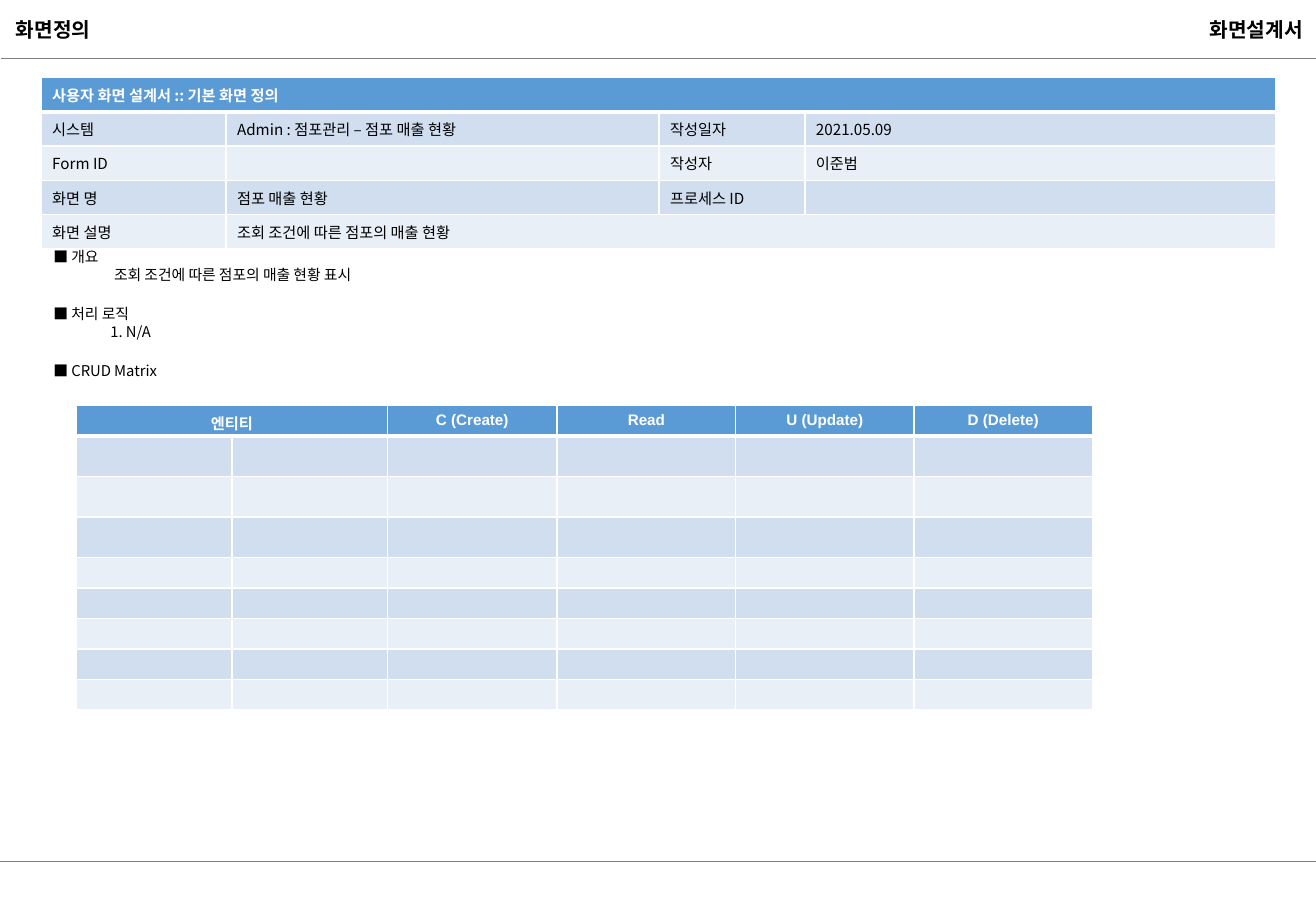
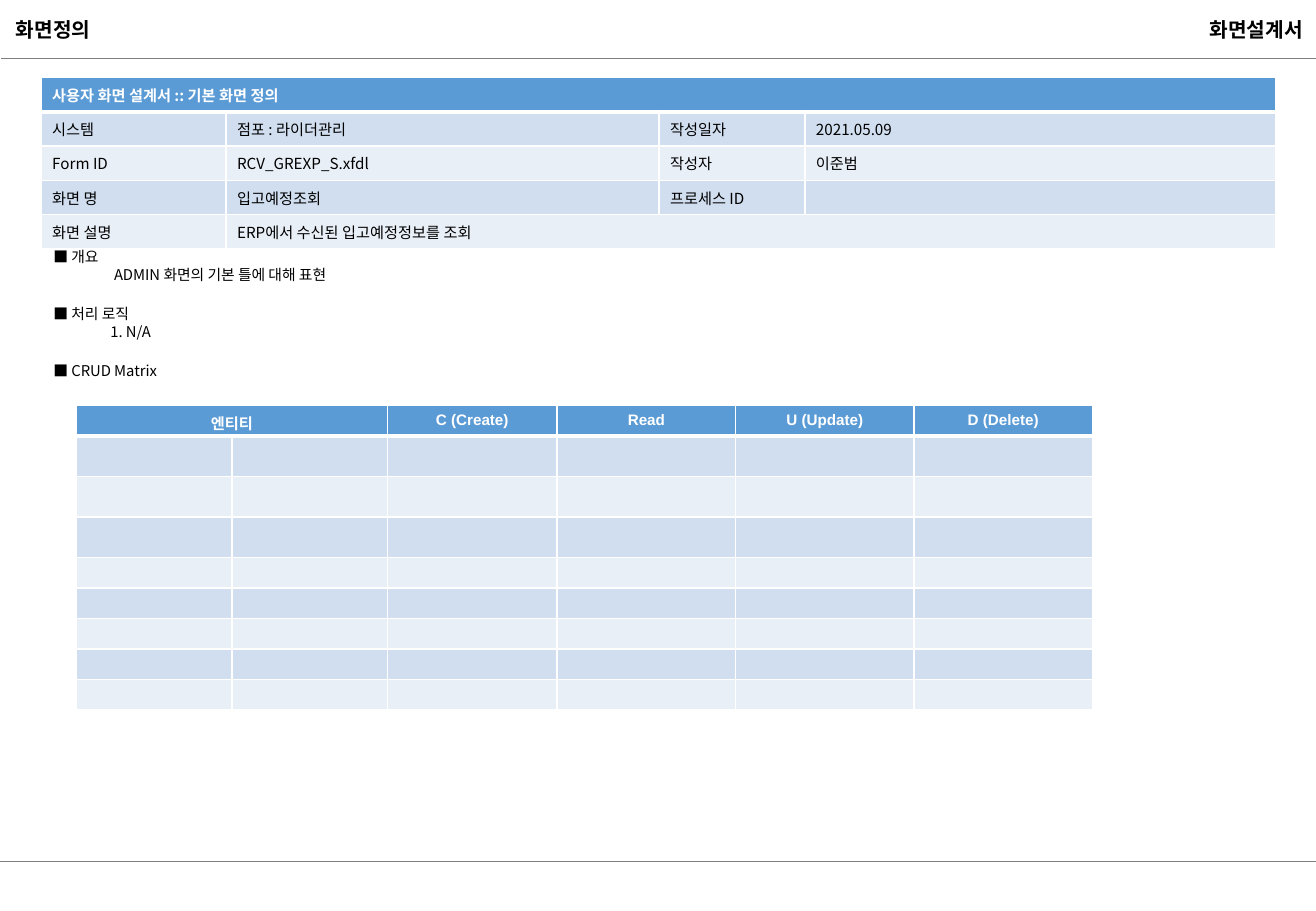
from dataclasses import dataclass
from typing import Optional

from lxml import etree
from pptx import Presentation
from pptx import util as u
from pptx.dml.color import RGBColor
from pptx.enum import shapes, text
from pptx.oxml.ns import qn

COLORS = {
    "ink": "000000",
    "white": "FFFFFF",
    "rule": "7F7F7F",
    "header": "5B9BD5",
    "band": "D0DEEF",
    "band_light": "E9EFF7",
}
KOREAN, LATIN = "Noto Sans CJK KR", "Arial"
PAGE_WIDTH, PAGE_HEIGHT = u.Inches(10.83), u.Inches(7.5)
CELL_SIZE, BODY_SIZE, TITLE_SIZE = 9, 8.8, 12
BODY_LINE = 12.74


@dataclass(frozen=True)
class Region:
    """A rectangle in percent of the slide's width and height."""
    left: float
    top: float
    width: float
    height: float

    def lengths(self) -> tuple[int, int, int, int]:
        return (across(self.left), down(self.top), across(self.width), down(self.height))


@dataclass(frozen=True)
class TextStyle:
    size: float
    color: str = "ink"
    bold: bool = False
    font: str = KOREAN


@dataclass(frozen=True)
class TableDesign:
    """Column and row weights share out the region; spans maps a cell to its columns."""
    region: Region
    columns: list[int]
    rows: list[int]
    spans: dict[tuple[int, int], int]
    header: TextStyle
    side_margin: float
    align: text.PP_ALIGN


@dataclass(frozen=True)
class Screen:
    system: str
    form_id: str
    name: str
    description: str
    overview: str


TITLE = Region(0.28, 1.2, 8.03, 4)
DOCUMENT_NAME = Region(71.56, 1.2, 28.35, 4)
BODY = Region(3.14, 26.53, 93.81, 17.6)
RULES = [(0, 94.53), (0.09, 6.4)]

DEFINITION = TableDesign(
    Region(3.14, 8.53, 93.81, 16.27), [152, 356, 120, 387], [1] * 5,
    {(0, 0): 4, (4, 1): 3}, TextStyle(CELL_SIZE, "white", True), 0.09, text.PP_ALIGN.LEFT)
CRUD = TableDesign(
    Region(5.82, 44.53, 77.19, 33.33), [128, 128, 140, 147, 147, 147], [3] + [4] * 3 + [3] * 5,
    {(0, 0): 2}, TextStyle(CELL_SIZE, "white", True, LATIN), 0.1, text.PP_ALIGN.CENTER)
CRUD_HEADINGS = ["엔티티", "", "C (Create)", "Read", "U (Update)", "D (Delete)"]

SCREENS = [
    Screen("Admin : 점포관리 – 점포 매출 현황", "", "점포 매출 현황",
           "조회 조건에 따른 점포의 매출 현황", "조회 조건에 따른 점포의 매출 현황 표시"),
    Screen("점포 : 라이더관리", "RCV_GREXP_S.xfdl", "입고예정조회",
           "ERP에서 수신된 입고예정정보를 조회", "ADMIN 화면의 기본 틀에 대해 표현"),
]


def across(percent: float) -> int:
    return round(PAGE_WIDTH * percent / 100)


def down(percent: float) -> int:
    return round(PAGE_HEIGHT * percent / 100)


def rgb(name: str) -> RGBColor:
    return RGBColor.from_string(COLORS[name])


def add_span(para, words: str, style: TextStyle) -> None:
    span = para.add_run()
    span.text = words
    span.font.size = u.Pt(style.size)
    span.font.bold = style.bold
    span.font.name = style.font
    span.font.color.rgb = rgb(style.color)
    etree.SubElement(span.font._element, qn("a:ea"), typeface=KOREAN)


def set_heading(box, region: Region, words: str, align: text.PP_ALIGN) -> None:
    box.left, box.top, box.width, box.height = region.lengths()
    frame = box.text_frame
    frame.word_wrap = True
    frame.auto_size = text.MSO_AUTO_SIZE.NONE
    frame.vertical_anchor = text.MSO_ANCHOR.MIDDLE
    frame.paragraphs[0].alignment = align
    add_span(frame.paragraphs[0], words, TextStyle(TITLE_SIZE, bold=True))


def add_rule(page, left: float, top: float) -> None:
    rule = page.shapes.add_connector(
        shapes.MSO_CONNECTOR.STRAIGHT, across(left), down(top), PAGE_WIDTH, down(top))
    rule.line.color.rgb = rgb("rule")
    rule.line.width = u.Pt(0.75)
    etree.SubElement(rule._element.spPr, qn("a:effectLst"))


def add_frame(page) -> None:
    """Draw the two rules and the two headings shared by every page."""
    for left, top in RULES:
        add_rule(page, left, top)
    set_heading(page.shapes.title, TITLE, "화면정의", text.PP_ALIGN.LEFT)
    name = page.shapes.add_textbox(*DOCUMENT_NAME.lengths())
    set_heading(name, DOCUMENT_NAME, "화면설계서", text.PP_ALIGN.RIGHT)


def set_borders(cell, row: int) -> None:
    """White borders, thicker between the header and the first row."""
    widths = {"L": 1, "R": 1, "T": 3 if row == 1 else 1, "B": 3 if row == 0 else 1}
    properties = cell._tc.get_or_add_tcPr()
    for side, points in widths.items():
        line = etree.SubElement(properties, qn(f"a:ln{side}"), w=str(u.Pt(points)))
        fill = etree.SubElement(line, qn("a:solidFill"))
        etree.SubElement(fill, qn("a:srgbClr"), val=COLORS["white"])


def fill_cell(cell, row: int, words: str, design: TableDesign) -> None:
    set_borders(cell, row)
    cell.fill.solid()
    cell.fill.fore_color.rgb = rgb("header" if row == 0 else "band" if row % 2 else "band_light")
    cell.margin_left = cell.margin_right = u.Inches(design.side_margin)
    para = cell.text_frame.paragraphs[0]
    if words:
        para.alignment = design.align
        add_span(para, words, design.header if row == 0 else TextStyle(CELL_SIZE))
    else:
        end = etree.SubElement(para._p, qn("a:endParaRPr"), sz=str(CELL_SIZE * 100))
        etree.SubElement(end, qn("a:latin"), typeface=LATIN)


def add_grid(page, design: TableDesign, content: list[list[str]]) -> None:
    left, top, width, height = design.region.lengths()
    table = page.shapes.add_table(
        len(design.rows), len(design.columns), left, top, width, height).table
    for column, weight in zip(table.columns, design.columns):
        column.width = round(width * weight / sum(design.columns))
    for row, weight in zip(table.rows, design.rows):
        row.height = round(height * weight / sum(design.rows))
    for r, line in enumerate(content):
        for c, words in enumerate(line):
            fill_cell(table.cell(r, c), r, words, design)
    for (r, c), span in design.spans.items():
        table.cell(r, c).merge(table.cell(r, c + span - 1))


def add_body(page, overview: str) -> None:
    sections: list[tuple[str, Optional[str], float]] = [
        ("■ 개요", overview, 0.5), ("■ 처리 로직", "1. N/A", 0.47), ("■ CRUD Matrix", None, 0)]
    frame = page.shapes.add_textbox(*BODY.lengths()).text_frame
    frame.word_wrap = True
    style = TextStyle(BODY_SIZE)
    for number, (heading, detail, indent) in enumerate(sections):
        para = frame.add_paragraph() if number else frame.paragraphs[0]
        para.space_before = u.Pt(BODY_LINE if number else 0)
        add_span(para, heading, style)
        if detail:
            para = frame.add_paragraph()
            para.level = 1
            para._p.get_or_add_pPr().set("marL", str(u.Inches(indent)))
            add_span(para, detail, style)


def add_screen(deck, screen: Screen) -> None:
    page = deck.slides.add_slide(deck.slide_layouts[5])
    add_frame(page)
    add_grid(page, DEFINITION, [
        ["사용자 화면 설계서 :: 기본 화면 정의", "", "", ""],
        ["시스템", screen.system, "작성일자", "2021.05.09"],
        ["Form ID", screen.form_id, "작성자", "이준범"],
        ["화면 명", screen.name, "프로세스 ID", ""],
        ["화면 설명", screen.description, "", ""],
    ])
    add_body(page, screen.overview)
    blank = [""] * len(CRUD.columns)
    add_grid(page, CRUD, [CRUD_HEADINGS] + [blank] * (len(CRUD.rows) - 1))


def main() -> None:
    deck = Presentation()
    deck.slide_width, deck.slide_height = PAGE_WIDTH, PAGE_HEIGHT
    for screen in SCREENS:
        add_screen(deck, screen)
    deck.save("out.pptx")


if __name__ == "__main__":
    main()
